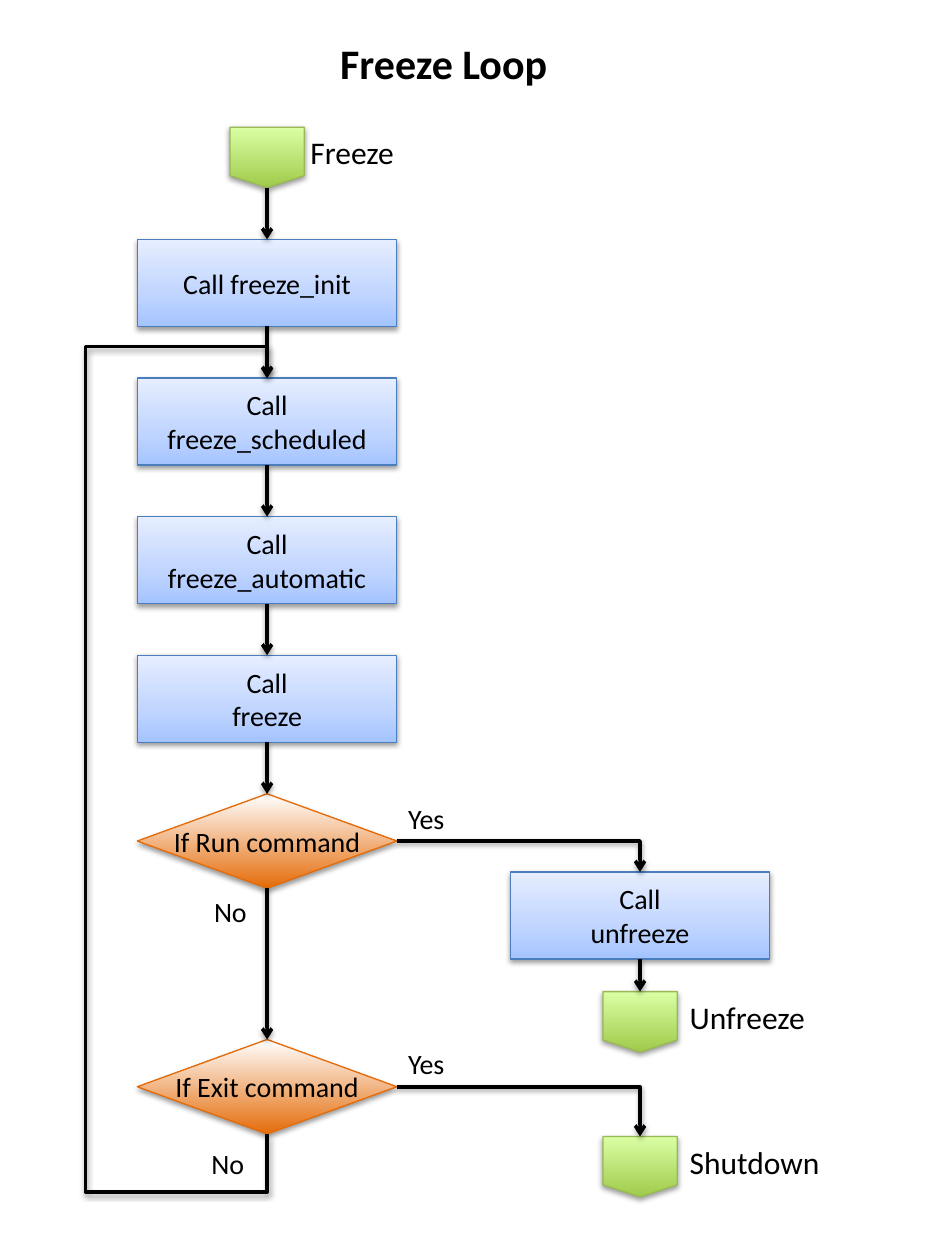
from copy import deepcopy

from lxml import etree
from pptx import Presentation
from pptx.dml.color import RGBColor
from pptx.enum.shapes import MSO_CONNECTOR, MSO_SHAPE
from pptx.enum.text import MSO_ANCHOR, MSO_AUTO_SIZE, PP_ALIGN
from pptx.oxml.ns import qn
from pptx.util import Inches, Pt

PROCESS = MSO_SHAPE.FLOWCHART_PROCESS
DECISION = MSO_SHAPE.FLOWCHART_DECISION
OFFPAGE = MSO_SHAPE.FLOWCHART_OFFPAGE_CONNECTOR
STRAIGHT, ELBOW = MSO_CONNECTOR.STRAIGHT, MSO_CONNECTOR.ELBOW
TOP_ANCHOR, MIDDLE = MSO_ANCHOR.TOP, MSO_ANCHOR.MIDDLE
LEFT_ALIGN, CENTER = PP_ALIGN.LEFT, PP_ALIGN.CENTER
NO_AUTOSIZE = MSO_AUTO_SIZE.NONE

BLACK = RGBColor(0x00, 0x00, 0x00)
BLUE_LINE = RGBColor(0x4B, 0x7E, 0xBC)
GREEN_LINE = RGBColor(0x98, 0xB9, 0x55)
ORANGE = RGBColor(0xE4, 0x6C, 0x0A)
BLUE_STOPS = [
    (0, RGBColor(0xA4, 0xC4, 0xFF)),
    (0.35, RGBColor(0xBF, 0xD4, 0xFF)),
    (1, RGBColor(0xE6, 0xEE, 0xFF)),
]
GREEN_STOPS = [(0, RGBColor(0xA0, 0xCA, 0x4A)), (1, RGBColor(0xDA, 0xFF, 0xA5))]
ORANGE_STOPS = [(0, ORANGE), (1, RGBColor(0xFF, 0xFF, 0xFF))]
STYLES = {
    PROCESS: (BLUE_STOPS, BLUE_LINE),
    DECISION: (ORANGE_STOPS, ORANGE),
    OFFPAGE: (GREEN_STOPS, GREEN_LINE),
}

FONT = "Calibri"
TOP, BOTTOM, RIGHT = 0, 2, 3
STEP_WIDTH, STEP_HEIGHT, STEP_PITCH = 2.06, 0.69, 1.1
DECISION_HEIGHT = 0.75
MARKER_WIDTH, MARKER_HEIGHT = 0.59, 0.48


def add_shadow(shape):
    effects = etree.SubElement(shape._element.spPr, qn("a:effectLst"))
    shadow = etree.SubElement(
        effects, qn("a:outerShdw"), blurRad=str(Pt(3.1)), dist=str(Pt(1.6)),
        dir="5400000", rotWithShape="0")
    color = etree.SubElement(shadow, qn("a:srgbClr"), val="000000")
    etree.SubElement(color, qn("a:alpha"), val="38000")


def set_gradient(shape, stops):
    shape.fill.gradient()
    shape.fill.gradient_angle = 90
    stop_list = shape._element.spPr.find(".//" + qn("a:gsLst"))
    while len(stop_list) < len(stops):
        stop_list.insert(1, deepcopy(stop_list[0]))
    for stop, (position, color) in zip(shape.fill.gradient_stops, stops):
        stop.position = position
        stop.color.rgb = color


def set_text(shape, text, size, align, anchor, bold=False, wrap=True):
    frame = shape.text_frame
    frame.auto_size = NO_AUTOSIZE
    frame.word_wrap = wrap
    frame.vertical_anchor = anchor
    paragraph = frame.paragraphs[0]
    paragraph.text = text
    paragraph.alignment = align
    paragraph.font.name = FONT
    paragraph.font.size = Pt(size)
    paragraph.font.bold = bold
    paragraph.font.color.rgb = BLACK


def add_block(slide, kind, left, top, width, height, text=""):
    block = slide.shapes.add_shape(
        kind, Inches(left), Inches(top), Inches(width), Inches(height))
    stops, line_color = STYLES[kind]
    set_gradient(block, stops)
    block.line.color.rgb = line_color
    block.line.width = Pt(0.75)
    add_shadow(block)
    if text:
        set_text(block, text, 16, CENTER, MIDDLE, wrap=kind != DECISION)
    return block


def add_label(slide, text, left, top, width, height=0.37, size=16):
    label = slide.shapes.add_textbox(
        Inches(left), Inches(top), Inches(width), Inches(height))
    set_text(label, text, size, LEFT_ALIGN, TOP_ANCHOR)


def add_marker(slide, text, left, top, label_offset, label_width):
    marker = add_block(slide, OFFPAGE, left, top, MARKER_WIDTH, MARKER_HEIGHT)
    add_label(slide, text, left + label_offset, top, label_width, 0.4, 18)
    return marker


def style_arrow(shape):
    shape.line.color.rgb = BLACK
    shape.line.width = Pt(2)
    etree.SubElement(shape.line._get_or_add_ln(), qn("a:tailEnd"), type="arrow")
    add_shadow(shape)


def connect(slide, source, target, source_site=BOTTOM):
    kind = STRAIGHT if source_site == BOTTOM else ELBOW
    connector = slide.shapes.add_connector(kind, 0, 0, 0, 0)
    connector.begin_connect(source, source_site)
    connector.end_connect(target, TOP)
    if kind == ELBOW:
        connector._element.spPr.find(qn("a:prstGeom")).set("prst", "bentConnector2")
    style_arrow(connector)


def add_loop_back(slide, points):
    corners = [(Inches(x), Inches(y)) for x, y in points]
    builder = slide.shapes.build_freeform(*corners[0])
    builder.add_line_segments(corners[1:], close=False)
    loop = builder.convert_to_shape()
    loop.fill.background()
    style_arrow(loop)


def add_title(slide, left, top, width, height):
    title = slide.shapes.title
    title.left, title.top = Inches(left), Inches(top)
    title.width, title.height = Inches(width), Inches(height)
    set_text(title, "Freeze Loop", 24, LEFT_ALIGN, TOP_ANCHOR, bold=True)


def add_main_flow(slide, left, top):
    center = left + STEP_WIDTH / 2
    steps_top = top + 0.89
    chain = [add_marker(slide, "Freeze", center - MARKER_WIDTH / 2, top, 0.54, 0.99)]
    steps = ["Call freeze_init", "Call freeze_scheduled",
             "Call freeze_automatic", "Call\vfreeze"]
    for index, text in enumerate(steps):
        chain.append(add_block(slide, PROCESS, left, steps_top + index * STEP_PITCH,
                               STEP_WIDTH, STEP_HEIGHT, text))

    run_top = steps_top + len(steps) * STEP_PITCH
    exit_top = run_top + 1.95
    decisions = []
    for text, decision_top in (("If Run command", run_top), ("If Exit command", exit_top)):
        decisions.append(add_block(slide, DECISION, left, decision_top,
                                   STEP_WIDTH, DECISION_HEIGHT, text))
        add_label(slide, "Yes", left + 2.05, decision_top + 0.01, 0.57)
    chain += decisions
    for source, target in zip(chain, chain[1:]):
        connect(slide, source, target)

    exit_bottom = exit_top + DECISION_HEIGHT
    add_label(slide, "No", left + 0.51, run_top + DECISION_HEIGHT, 0.49)
    add_label(slide, "No", left + 0.49, exit_bottom + 0.05, 0.49)
    loop_left, loop_bottom = left - 0.41, exit_bottom + 0.46
    loop_end = steps_top + STEP_PITCH
    add_loop_back(slide, [
        (center, exit_bottom), (center, loop_bottom), (loop_left, loop_bottom),
        (loop_left, loop_end - 0.25), (center, loop_end - 0.25), (center, loop_end)])
    return decisions


def add_exits(slide, left, top, run_decision, exit_decision):
    marker_left = left + (STEP_WIDTH - MARKER_WIDTH) / 2
    unfreeze = add_block(slide, PROCESS, left, top, STEP_WIDTH, STEP_HEIGHT,
                         "Call\vunfreeze")
    unfreeze_marker = add_marker(slide, "Unfreeze", marker_left, top + 0.95,
                                 MARKER_WIDTH, 1.23)
    shutdown_marker = add_marker(slide, "Shutdown", marker_left, top + 2.1,
                                 MARKER_WIDTH, 1.32)
    connect(slide, run_decision, unfreeze, RIGHT)
    connect(slide, unfreeze, unfreeze_marker)
    connect(slide, exit_decision, shutdown_marker, RIGHT)


presentation = Presentation()
presentation.slide_width = Inches(7.5)
presentation.slide_height = Inches(10)
slide = presentation.slides.add_slide(presentation.slide_layouts[5])
add_title(slide, 2.6, 0.25, 2.18, 0.5)
run_decision, exit_decision = add_main_flow(slide, 1.09, 1.01)
add_exits(slide, 4.05, 6.92, run_decision, exit_decision)
presentation.save("out.pptx")
